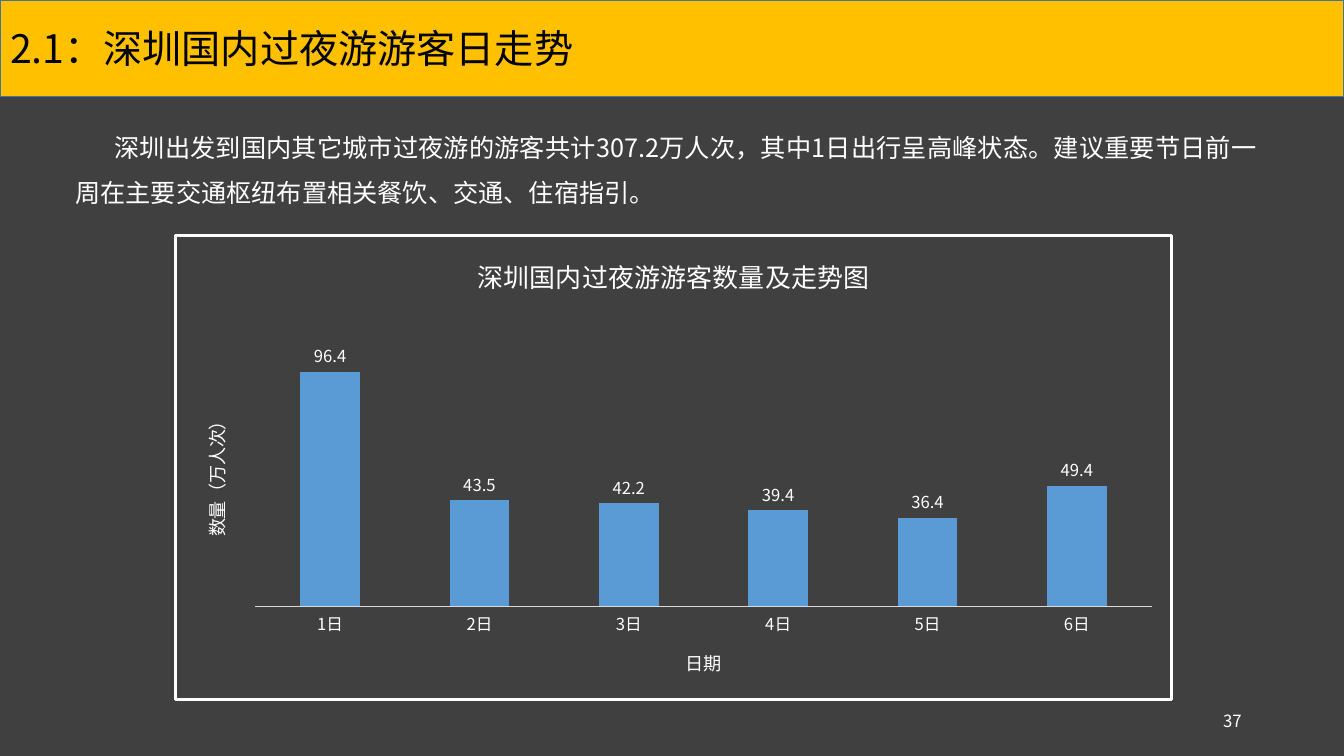
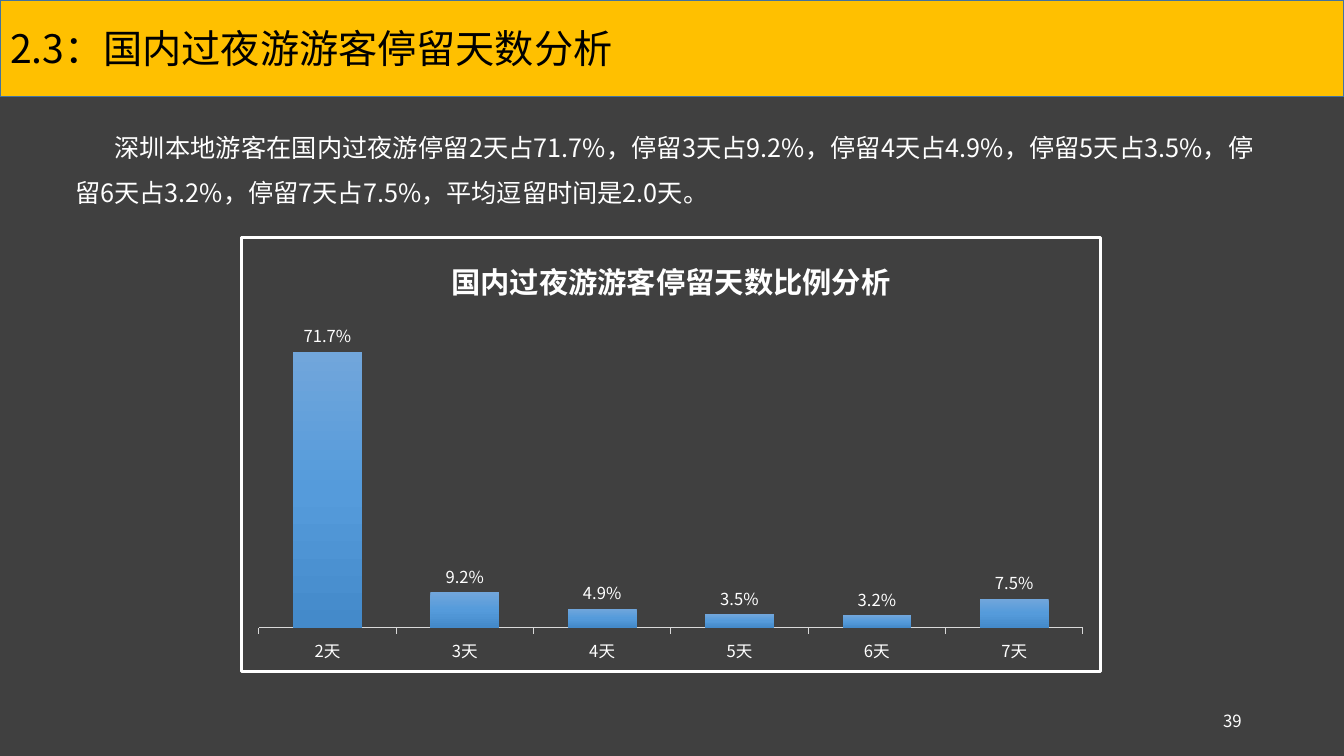
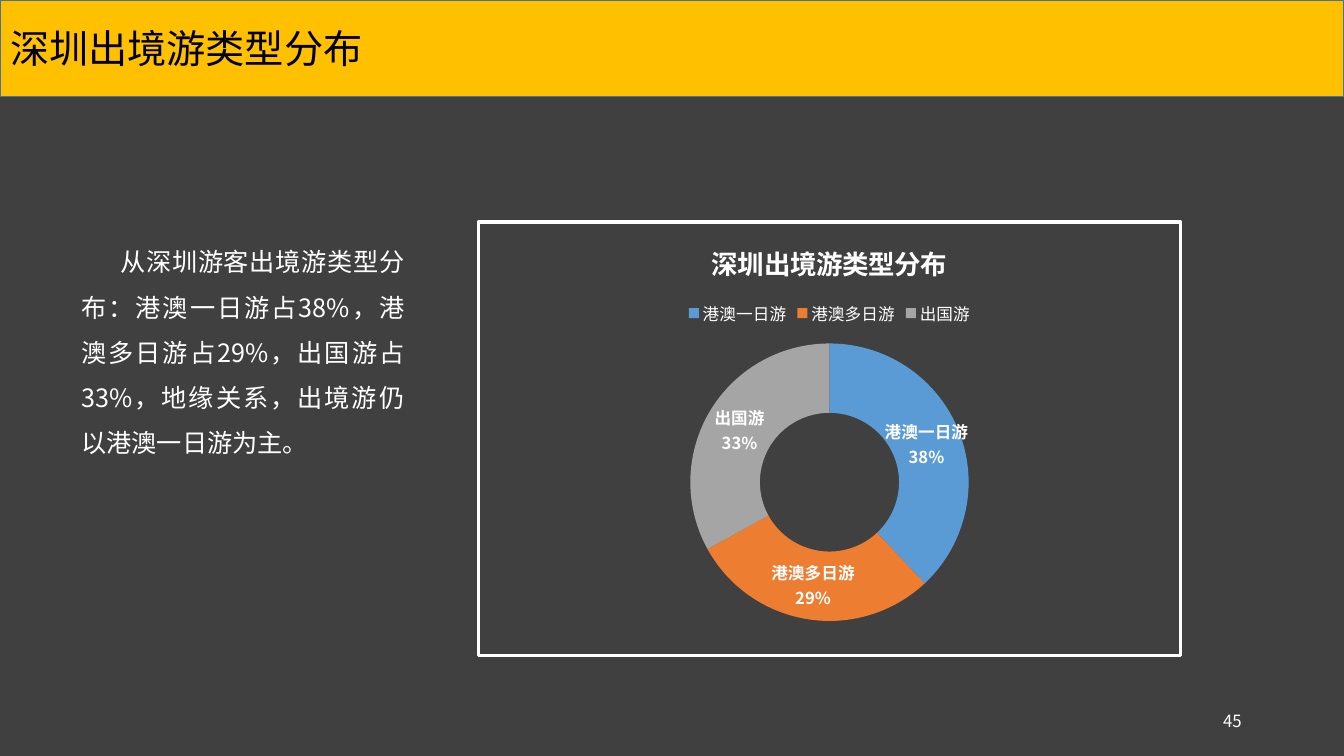
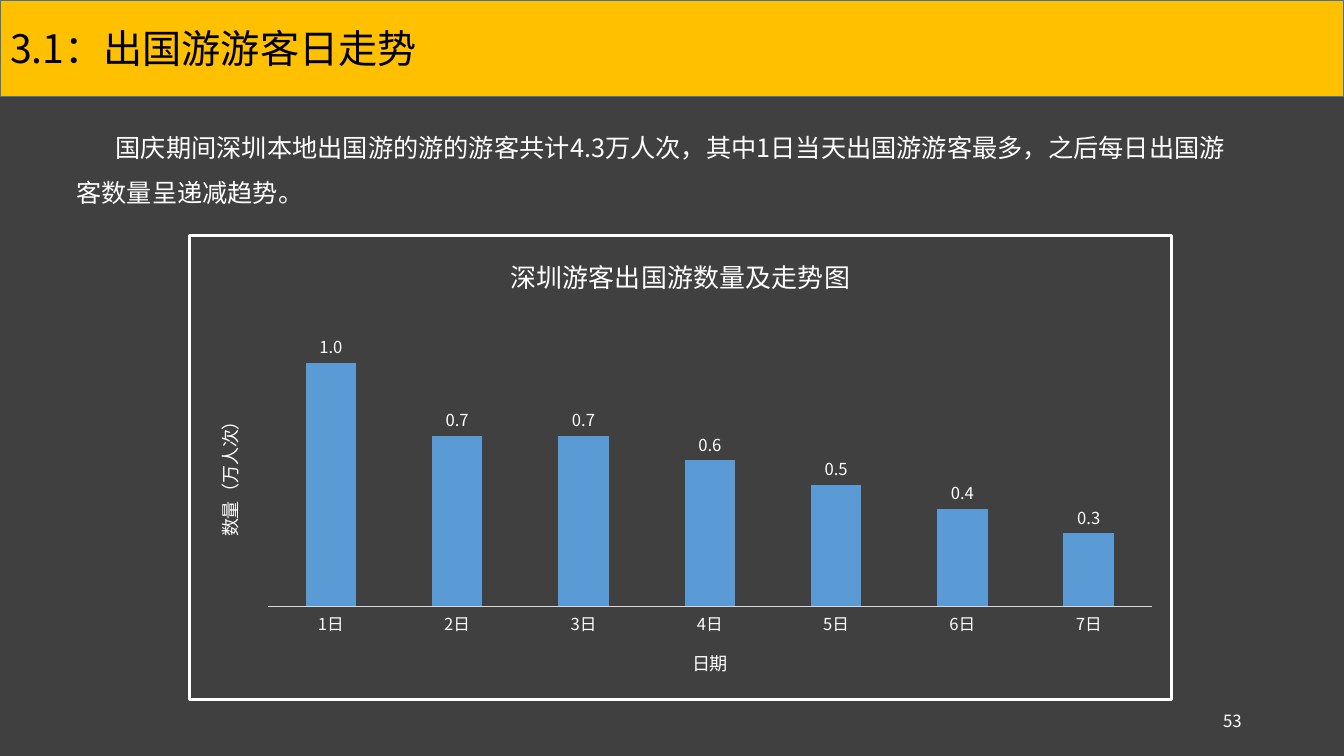
from copy import deepcopy
from dataclasses import dataclass

from lxml.etree import SubElement
from pptx import Presentation
from pptx.chart.data import CategoryChartData
from pptx.dml.color import RGBColor
from pptx.enum.chart import XL_CHART_TYPE as CT, XL_LABEL_POSITION as LP
from pptx.enum.chart import XL_LEGEND_POSITION as LEGEND
from pptx.enum.chart import XL_TICK_LABEL_POSITION as TLP, XL_TICK_MARK as TICK
from pptx.enum.text import MSO_ANCHOR as ANCHOR, MSO_AUTO_SIZE as FIT, PP_ALIGN as AL
from pptx.oxml import parse_xml
from pptx.oxml.ns import nsdecls, qn
from pptx.util import Pt


@dataclass(frozen=True)
class Theme:
    font: str = "Noto Sans CJK SC"
    back: str = "404040"
    band: str = "FFC000"
    band_line: str = "43739E"
    ink: str = "000000"
    white: str = "FFFFFF"
    bar: str = "5B9BD5"
    axis: str = "D9D9D9"
    gradient: tuple = ("71A6DB", "559BDB", "448ACA")
    slices: tuple = ("5B9BD5", "ED7D31", "A5A5A5")
    title: float = 28
    body: float = 18
    leading: float = 32.3
    page: float = 12
    label: float = 11.9
    axis_title: float = 13
    chart_title: float = 18.6


T = Theme()


def rgb(value):
    return RGBColor.from_string(value)


def style(font, size, color=T.white, bold=False):
    """Format a font, for Latin and East Asian text alike."""
    font.size, font.bold, font.name = Pt(size), bold, T.font
    font.color.rgb = rgb(color)
    rPr = font._rPr
    ea = rPr.find(qn("a:ea"))
    if ea is None:
        ea = SubElement(rPr, qn("a:ea"))
        rPr.find(qn("a:latin")).addnext(ea)
    ea.set("typeface", T.font)


def write(tf, text, size, color=T.white, bold=False, align=None, leading=None, indent=None):
    """Put one formatted paragraph into a text frame."""
    p = tf.paragraphs[0]
    p.alignment = align
    if leading:
        p.line_spacing = Pt(leading)
    if indent:
        p._p.get_or_add_pPr().set("indent", str(Pt(indent)))
    r = p.add_run()
    r.text = text
    style(r.font, size, color, bold)


def place(chart, x, y, w, h):
    """Fix the inner plot area, in fractions of the chart."""
    area = chart._chartSpace.find(".//" + qn("c:plotArea"))
    for old in area.findall(qn("c:layout")):
        area.remove(old)
    area.insert(0, parse_xml(
        f'<c:layout {nsdecls("c")}><c:manualLayout><c:layoutTarget val="inner"/>'
        f'<c:xMode val="edge"/><c:yMode val="edge"/><c:x val="{x}"/><c:y val="{y}"/>'
        f'<c:w val="{w}"/><c:h val="{h}"/></c:manualLayout></c:layout>'))


def fill_gradient(series, colors):
    fill = series.format.fill
    fill.gradient()
    fill.gradient_angle = 270
    stops = series._element.find(".//" + qn("a:gsLst"))
    while len(stops) < len(colors):
        stops.append(deepcopy(stops[-1]))
    for i, (stop, color) in enumerate(zip(fill.gradient_stops, colors)):
        stop.position = i / (len(colors) - 1)
        stop.color.rgb = rgb(color)


class Deck:
    def __init__(self):
        self.prs = Presentation()
        self.prs.slide_width, self.prs.slide_height = Pt(960), Pt(540)
        fill = self.prs.slide_master.background.fill
        fill.solid()
        fill.fore_color.rgb = rgb(T.back)

    def slide(self, title, page):
        """Start a slide with its title band and page number."""
        self.s = self.prs.slides.add_slide(self.prs.slide_layouts[5])
        band = self.s.shapes.title
        band.left, band.top, band.width, band.height = 0, 0, Pt(960), Pt(69)
        band.fill.solid()
        band.fill.fore_color.rgb = rgb(T.band)
        band.line.color.rgb = rgb(T.band_line)
        band.line.width = Pt(1)
        tf = band.text_frame
        tf.auto_size, tf.vertical_anchor = FIT.NONE, ANCHOR.MIDDLE
        write(tf, title, T.title, T.ink, align=AL.LEFT)
        tf = self.box(678, 500.5, 216, 29)
        tf.vertical_anchor = ANCHOR.MIDDLE
        write(tf, str(page), T.page, align=AL.RIGHT)

    def box(self, x, y, w, h):
        tf = self.s.shapes.add_textbox(Pt(x), Pt(y), Pt(w), Pt(h)).text_frame
        tf.word_wrap = True
        return tf

    def body(self, text, x, y, w, h):
        tf = self.box(x, y, w, h)
        tf.auto_size = FIT.SHAPE_TO_FIT_TEXT
        write(tf, text, T.body, align=AL.JUSTIFY, leading=T.leading, indent=28)

    def chart(self, kind, at, title, cats, vals, size=T.chart_title, bold=False):
        """Add a one-series chart with a white frame and a title."""
        data = CategoryChartData()
        data.categories = cats
        data.add_series("Series 1", vals)
        chart = self.s.shapes.add_chart(kind, *map(Pt, at), data).chart
        style(chart.font, 10)
        chart._chartSpace.find(qn("c:chart")).addnext(parse_xml(
            f'<c:spPr {nsdecls("c", "a")}><a:noFill/><a:ln w="{Pt(2.25)}"><a:solidFill>'
            f'<a:srgbClr val="{T.white}"/></a:solidFill></a:ln></c:spPr>'))
        chart.has_legend = False
        chart.has_title = True
        write(chart.chart_title.text_frame, title, size, bold=bold)
        return chart

    def labels(self, plot, fmt, bold=False):
        plot.has_data_labels = True
        labels = plot.data_labels
        labels.number_format, labels.number_format_is_linked = fmt, False
        style(labels.font, T.label, bold=bold)
        return labels

    def columns(self, at, title, cats, vals, top, plot_area, fmt="0.0", gap=150,
                axis_titles=None, gradient=None, tick=TICK.NONE, **title_format):
        chart = self.chart(CT.COLUMN_CLUSTERED, at, title, cats, vals, **title_format)
        plot = chart.plots[0]
        plot.gap_width, plot.vary_by_categories = gap, False
        labels = self.labels(plot, fmt)
        labels.show_value, labels.position = True, LP.OUTSIDE_END
        series = plot.series[0]
        if gradient:
            fill_gradient(series, gradient)
        else:
            series.format.fill.solid()
            series.format.fill.fore_color.rgb = rgb(T.bar)
        cat, val = chart.category_axis, chart.value_axis
        cat.major_tick_mark = tick
        cat.format.line.color.rgb = rgb(T.axis)
        cat.format.line.width = Pt(0.75)
        style(cat.tick_labels.font, T.label)
        val.minimum_scale, val.maximum_scale = 0, top
        val.has_major_gridlines = False
        val.major_tick_mark, val.tick_label_position = TICK.NONE, TLP.NONE
        val.format.line.fill.background()
        val.visible = bool(axis_titles)
        for axis, text in zip((cat, val), axis_titles or ()):
            write(axis.axis_title.text_frame, text, T.axis_title)
        if axis_titles:
            bodyPr = val.axis_title.text_frame._txBody.bodyPr
            bodyPr.set("rot", "-5400000")
            bodyPr.set("vert", "horz")
        place(chart, *plot_area)

    def daily_columns(self, x, w, title, vals, top):
        """Column chart of visitors for each day of the holiday."""
        days = [f"{i}日" for i in range(1, len(vals) + 1)]
        self.columns((x, 167, w, 333.5), title, days, vals, top, (0.08, 0.17, 0.9, 0.63),
                     axis_titles=("日期", "数量（万人次）"))

    def doughnut(self, at, title, cats, vals, plot_area, **title_format):
        chart = self.chart(CT.DOUGHNUT, at, title, cats, vals, **title_format)
        chart.has_legend = True
        chart.legend.position, chart.legend.include_in_layout = LEGEND.TOP, False
        style(chart.legend.font, T.label)
        plot = chart.plots[0]
        for i, color in enumerate(T.slices):
            fill = plot.series[0].points[i].format.fill
            fill.solid()
            fill.fore_color.rgb = rgb(color)
        labels = self.labels(plot, "0%", bold=True)
        labels.show_value = False
        labels.show_category_name = labels.show_percentage = True
        separator = parse_xml(f'<c:separator {nsdecls("c")}>\n</c:separator>')
        labels._element.find(qn("c:showBubbleSize")).addnext(separator)
        place(chart, *plot_area)


def main():
    d = Deck()

    d.slide("2.1：深圳国内过夜游游客日走势", 37)
    d.body("深圳出发到国内其它城市过夜游的游客共计307.2万人次，其中1日出行呈高峰状态。"
           "建议重要节日前一周在主要交通枢纽布置相关餐饮、交通、住宿指引。", 46.8, 80, 858, 72)
    d.daily_columns(124.5, 713.5, "深圳国内过夜游游客数量及走势图",
                    (96.4, 43.5, 42.2, 39.4, 36.4, 49.4), 120)

    d.slide("2.3：国内过夜游游客停留天数分析", 39)
    d.body("深圳本地游客在国内过夜游停留2天占71.7%，停留3天占9.2%，停留4天占4.9%，"
           "停留5天占3.5%，停留6天占3.2%，停留7天占7.5%，平均逗留时间是2.0天。",
           46.8, 80, 855.5, 72)
    d.columns((171.5, 168.5, 615.5, 312), "国内过夜游游客停留天数比例分析",
              [f"{i}天" for i in range(2, 8)], (0.717, 0.092, 0.049, 0.035, 0.032, 0.075),
              0.8, (0.02, 0.19, 0.96, 0.71), fmt="0.0%", gap=100, gradient=T.gradient,
              tick=TICK.OUTSIDE, size=21, bold=True)

    d.slide("深圳出境游类型分布", 45)
    d.body("从深圳游客出境游类型分布：港澳一日游占38%，港澳多日游占29%，出国游占33%，"
           "地缘关系，出境游仍以港澳一日游为主。", 51, 162, 245, 169)
    d.doughnut((340.5, 157.5, 504, 312), "深圳出境游类型分布",
               ("港澳一日游", "港澳多日游", "出国游"), (38, 29, 33),
               (0.3, 0.28, 0.4, 0.64), size=19, bold=True)

    d.slide("3.1：出国游游客日走势", 53)
    d.body("国庆期间深圳本地出国游的游的游客共计4.3万人次，其中1日当天出国游游客最多，"
           "之后每日出国游客数量呈递减趋势。", 47.5, 80, 834.5, 72)
    d.daily_columns(134, 704, "深圳游客出国游数量及走势图",
                    (1, 0.7, 0.7, 0.6, 0.5, 0.4, 0.3), 1.2)

    d.prs.save("out.pptx")


if __name__ == "__main__":
    main()
